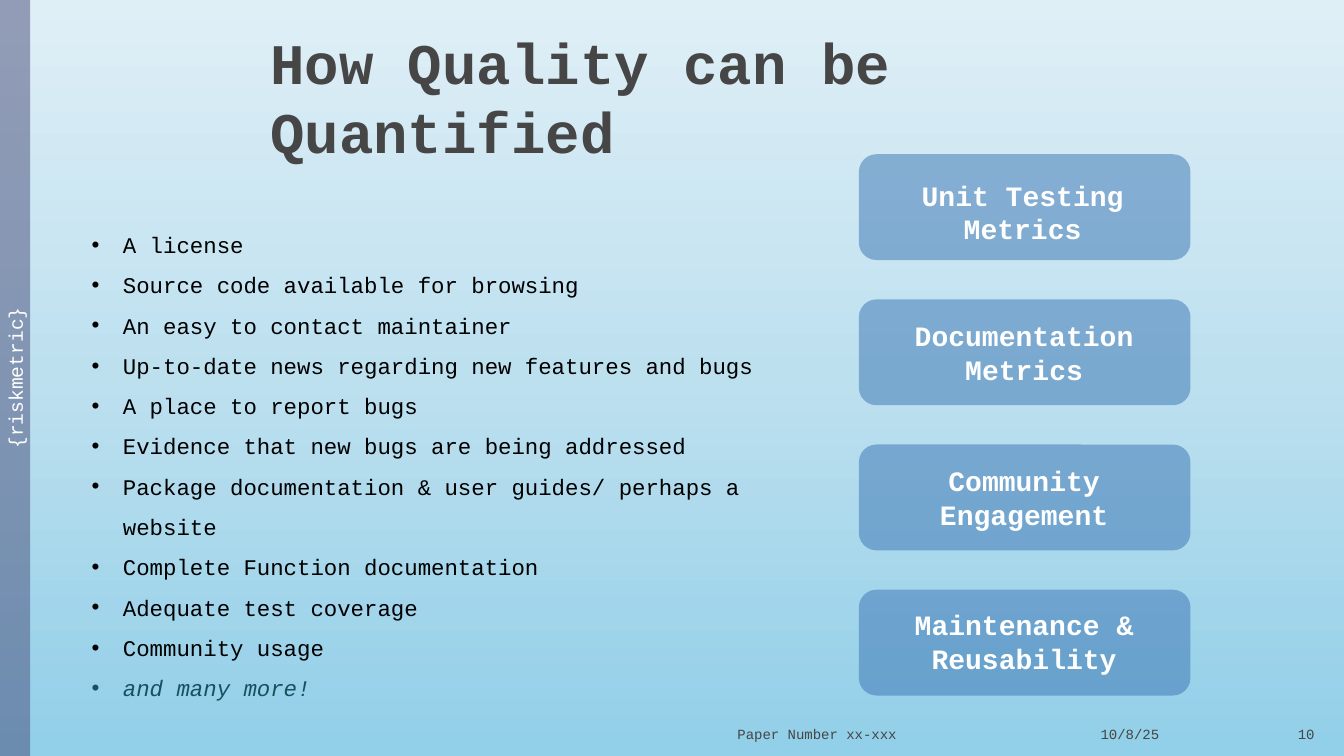
from dataclasses import dataclass

from lxml import etree
from pptx import Presentation
from pptx.dml.color import RGBColor
from pptx.enum.shapes import MSO_SHAPE
from pptx.enum.text import MSO_ANCHOR, MSO_AUTO_SIZE, PP_ALIGN
from pptx.oxml.ns import qn
from pptx.util import Inches, Pt

RECTANGLE, ROUNDED = MSO_SHAPE.RECTANGLE, MSO_SHAPE.ROUNDED_RECTANGLE
TOP, MIDDLE, BOTTOM = MSO_ANCHOR.TOP, MSO_ANCHOR.MIDDLE, MSO_ANCHOR.BOTTOM
LEFT, CENTER, RIGHT = PP_ALIGN.LEFT, PP_ALIGN.CENTER, PP_ALIGN.RIGHT
NO_FIT, GROW = MSO_AUTO_SIZE.NONE, MSO_AUTO_SIZE.SHAPE_TO_FIT_TEXT

COLUMNS, ROWS = 133.33, 75
CELL = Inches(0.1)
FONT = "Courier New"
COLORS = {
    "sky_top": "DFEFF6", "sky_middle": "BDE0EF", "sky_bottom": "92CFE8",
    "heading": "464646", "body": "000000", "closing": "175160",
    "card": "3973B3", "side_band": "474B78", "light": "FFFFFF",
}
SKY = [(0, "sky_top"), (50, "sky_middle"), (99, "sky_bottom")]
CARD_TOP, CARD_STEP = 15.3, 14.4


@dataclass
class Area:
    column: float
    row: float
    columns: float
    rows: float

    def place(self) -> tuple[int, ...]:
        return tuple(round(n * CELL) for n in (self.column, self.row, self.columns, self.rows))


@dataclass
class Metric:
    label: str
    area: Area


@dataclass
class FooterItem:
    text: str
    area: Area
    align: PP_ALIGN


METRICS = [
    Metric("Unit Testing Metrics", Area(87.5, 17.2, 27.9, 7.7)),
    Metric("Documentation Metrics", Area(85.5, 31.1, 32.2, 7.7)),
    Metric("Community Engagement", Area(85.5, 45.5, 32.2, 7.7)),
    Metric("Maintenance & Reusability", Area(85.5, 59.8, 32.2, 7.7)),
]
FOOTER = [
    FooterItem("10/8/25", Area(98.1, 70.1, 28, 4), CENTER),
    FooterItem("Paper Number xx-xxx", Area(63.9, 70.1, 34.3, 4), CENTER),
    FooterItem("10", Area(126.1, 70.1, 5.3, 4), RIGHT),
]
QUALITIES = [
    "A license",
    "Source code available for browsing",
    "An easy to contact maintainer",
    "Up-to-date news regarding new features and bugs",
    "A place to report bugs",
    "Evidence that new bugs are being addressed",
    "Package documentation & user guides/ perhaps a website",
    "Complete Function documentation",
    "Adequate test coverage",
    "Community usage",
]
CLOSING = "and many more!"


def style(paragraph, size: float, color: str, bold: bool = False, italic: bool = False) -> None:
    font = paragraph.font
    font.name, font.size, font.bold, font.italic = FONT, Pt(size), bold, italic
    font.color.rgb = RGBColor.from_string(COLORS[color])


def write(frame, text: str, size: float, color: str, align: PP_ALIGN,
          anchor: MSO_ANCHOR, bold: bool = False, fit: MSO_AUTO_SIZE = NO_FIT) -> None:
    frame.word_wrap, frame.auto_size, frame.vertical_anchor = True, fit, anchor
    paragraph = frame.paragraphs[0]
    paragraph.text, paragraph.alignment = text, align
    style(paragraph, size, color, bold)


def paint_sky(slide) -> None:
    fill = slide.background.fill
    fill.gradient()
    fill.gradient_angle = 270
    stops = slide.element.find(".//" + qn("a:gsLst"))
    for stop in list(stops):
        stops.remove(stop)
    for percent, color in SKY:
        stop = etree.SubElement(stops, qn("a:gs"), pos=str(percent * 1000))
        etree.SubElement(stop, qn("a:srgbClr"), val=COLORS[color])


def add_panel(slide, preset: MSO_SHAPE, area: Area, color: str):
    panel = slide.shapes.add_shape(preset, *area.place())
    panel.shadow.inherit = False
    panel.line.fill.background()
    panel.fill.solid()
    panel.fill.fore_color.rgb = RGBColor.from_string(COLORS[color])
    tint = panel.element.spPr.find(qn("a:solidFill") + "/" + qn("a:srgbClr"))
    etree.SubElement(tint, qn("a:alpha"), val="50000")
    return panel


def add_label(slide, area: Area):
    return slide.shapes.add_textbox(*area.place()).text_frame


def move(placeholder, area: Area) -> None:
    placeholder.left, placeholder.top, placeholder.width, placeholder.height = area.place()


def fill_heading(slide) -> None:
    heading = slide.shapes.title
    move(heading, Area(25.8, 3.3, 101.1, 12.5))
    heading.text_frame.margin_right = 5 * CELL
    write(heading.text_frame, "How Quality can be Quantified", 41, "heading", LEFT, MIDDLE, bold=True)


def fill_qualities(slide) -> None:
    body = slide.placeholders[1]
    move(body, Area(8.1, 21.1, 74.3, 45.1))
    frame = body.text_frame
    frame.word_wrap, frame.auto_size, frame.vertical_anchor = True, GROW, TOP
    frame.text = "\n".join([*QUALITIES, CLOSING])
    for paragraph in frame.paragraphs:
        paragraph.line_spacing = 1.5
        paragraph.space_before = Pt(0)
        properties = paragraph._p.get_or_add_pPr()
        indent = round(3.1 * CELL)
        properties.set("marL", str(indent))
        properties.set("indent", str(-indent))
        etree.SubElement(properties, qn("a:buFont"), typeface="Arial")
        etree.SubElement(properties, qn("a:buChar"), char="•")
        closing = paragraph.text == CLOSING
        style(paragraph, 16, "closing" if closing else "body", italic=closing)


def main() -> None:
    deck = Presentation()
    deck.slide_width, deck.slide_height = round(COLUMNS * CELL), ROWS * CELL
    slide = deck.slides.add_slide(deck.slide_layouts[1])
    paint_sky(slide)
    fill_heading(slide)
    fill_qualities(slide)

    for item in FOOTER:
        write(add_label(slide, item.area), item.text, 10, "heading", item.align, BOTTOM)

    for index, metric in enumerate(METRICS):
        add_panel(slide, ROUNDED, Area(85.2, CARD_TOP + index * CARD_STEP, 32.9, 10.5), "card")
        write(add_label(slide, metric.area), metric.label, 20, "light", CENTER, TOP, bold=True, fit=GROW)

    side_band = add_panel(slide, RECTANGLE, Area(0, 0, 3, ROWS), "side_band")
    write(side_band.text_frame, "{riskmetric}", 14, "light", CENTER, MIDDLE)
    side_band.text_frame._txBody.bodyPr.set("vert", "vert270")

    deck.save("out.pptx")


if __name__ == "__main__":
    main()
